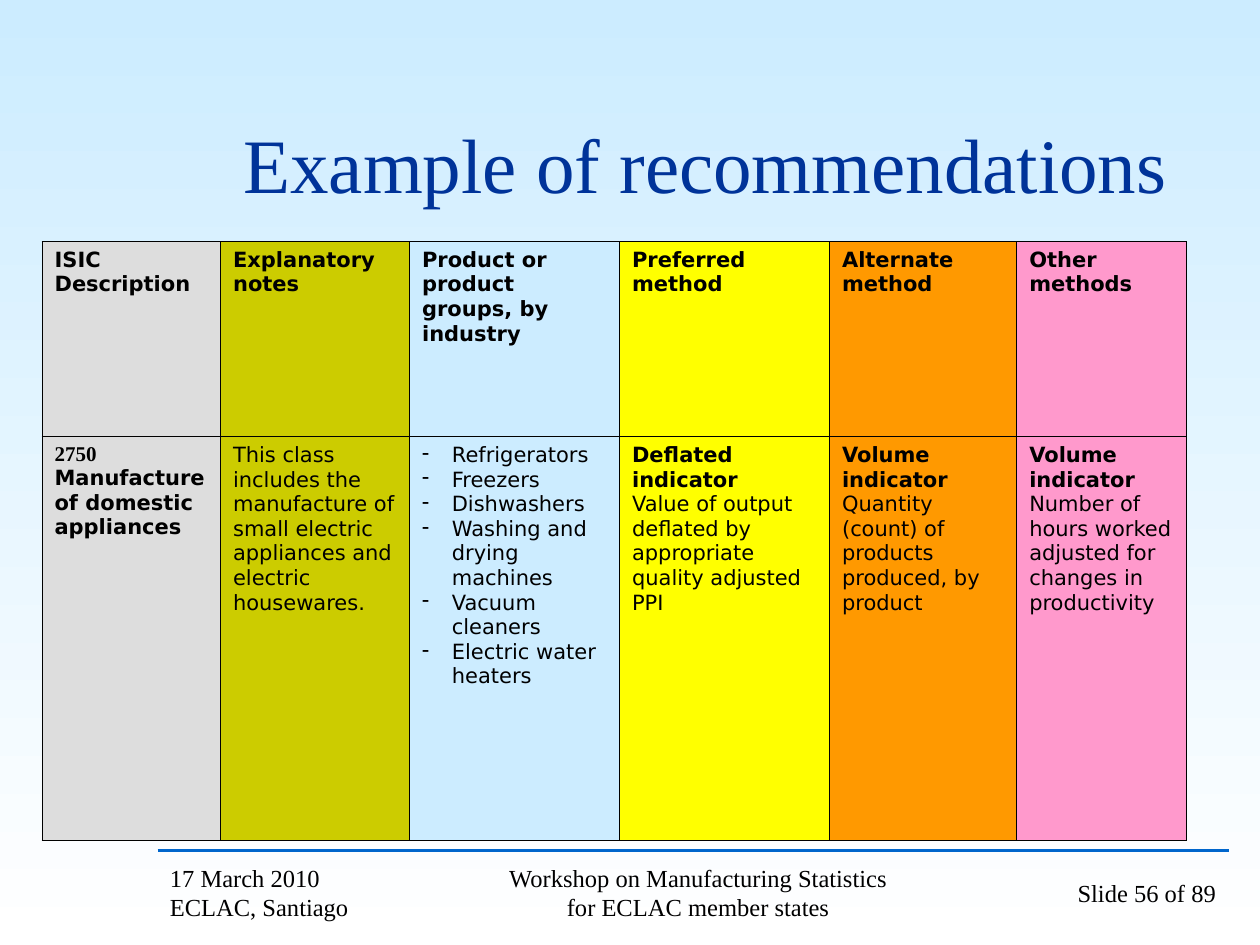
"""Build a slide with a table of recommended methods by industry."""
from lxml import etree
from pptx import Presentation
from pptx import util as u
from pptx.dml.color import RGBColor
from pptx.enum import shapes, text
from pptx.oxml import ns

SERIF, SANS = "Times New Roman", "DejaVu Sans"
WIDTHS = [102, 108, 120, 120, 107, 97]
HEIGHTS = [111.5, 230.5]
FILLS = ["DDDDDD", "CCCC00", "CCECFF", "FFFF00", "FF9900", "FF99CC"]
HEADS = [
    ["ISIC", "Description"],
    ["Explanatory notes"],
    ["Product or product groups, by industry"],
    ["Preferred method"],
    ["Alternate method"],
    ["Other methods"],
]
NOTES = "This class includes the manufacture of small electric appliances and electric housewares."
GOODS = ["Refrigerators", "Freezers", "Dishwashers", "Washing and drying machines",
         "Vacuum cleaners", "Electric water heaters"]
METHODS = [
    ("Deflated indicator", "Value of output deflated by appropriate quality adjusted PPI"),
    ("Volume indicator", "Quantity (count) of products produced, by product"),
    ("Volume indicator", "Number of hours worked adjusted for changes in productivity"),
]


def color(code):
    """Turn a hex string into a colour."""
    return RGBColor.from_string(code)


def node(parent, tag, **attrs):
    """Append a drawing element to a parent."""
    return etree.SubElement(parent, ns.qn("a:" + tag), attrs)


def style(para, size, face=SERIF, tint="000000", bold=False):
    """Set the font of a paragraph."""
    font = para.font
    font.size, font.name, font.bold = u.Pt(size), face, bold
    font.color.rgb = color(tint)


def label(slide, box, words, size, tint="000000", align=text.PP_ALIGN.LEFT):
    """Add a wrapped text box, centred vertically."""
    frame = slide.shapes.add_textbox(*map(u.Pt, box)).text_frame
    frame.word_wrap = True
    frame.vertical_anchor = text.MSO_ANCHOR.MIDDLE
    para = frame.paragraphs[0]
    para.text, para.alignment = words, align
    style(para, size, tint=tint)


def rule(slide, left, right, top):
    """Add the horizontal line above the footer."""
    line = slide.shapes.add_connector(
        shapes.MSO_CONNECTOR.STRAIGHT, *map(u.Pt, (left, top, right, top)))
    line.line.color.rgb = color("0066CC")
    line.line.width = u.Pt(1.5)
    node(line._element.spPr, "effectLst")


def bullet(para):
    """Give a paragraph a dash with a hanging indent."""
    props = para._p.get_or_add_pPr()
    props.set("marL", str(u.Pt(17)))
    props.set("indent", str(-u.Pt(17)))
    node(node(props, "buClr"), "srgbClr", val="000000")
    node(props, "buChar", char="-")


def paint(cell, fill):
    """Set the borders and the fill of a cell."""
    props = cell._tc.get_or_add_tcPr()
    for side in "LRTB":
        edge = node(props, "ln" + side, w=str(u.Pt(0.45)))
        node(node(edge, "solidFill"), "srgbClr", val="000000")
    cell.fill.solid()
    cell.fill.fore_color.rgb = color(fill)


def write(cell, items):
    """Fill a cell with (words, bold, face, dash) paragraphs."""
    frame = cell.text_frame
    for i, (words, bold, face, dash) in enumerate(items):
        para = frame.add_paragraph() if i else frame.paragraphs[0]
        para.text = words
        if dash:
            bullet(para)
        style(para, 12, face, bold=bold)


def grid(slide):
    """Add the table of methods."""
    heads = [[(words, True, SANS, False) for words in head] for head in HEADS]
    body = [
        [("2750", True, SERIF, False),
         ("Manufacture of domestic appliances", True, SANS, False)],
        [(NOTES, False, SANS, False)],
        [(good, False, SANS, True) for good in GOODS],
    ] + [[(name, True, SANS, False), (how, False, SANS, False)] for name, how in METHODS]
    box = (24, 138, sum(WIDTHS), sum(HEIGHTS))
    table = slide.shapes.add_table(len(HEIGHTS), len(WIDTHS), *map(u.Pt, box)).table
    table.first_row = table.horz_banding = False
    for col, width in zip(table.columns, WIDTHS):
        col.width = u.Pt(width)
    for row, height, content in zip(table.rows, HEIGHTS, (heads, body)):
        row.height = u.Pt(height)
        for cell, fill, items in zip(row.cells, FILLS, content):
            paint(cell, fill)
            write(cell, items)


def shade(slide):
    """Give the slide a vertical gradient."""
    fill = slide.background.fill
    fill.gradient()
    fill.gradient_angle = 270
    for stop, spot, code in zip(fill.gradient_stops, (0, 1), ("CCECFF", "FFFFFF")):
        stop.position = spot
        stop.color.rgb = color(code)


def main():
    """Build and save the slide."""
    deck = Presentation()
    deck.slide_width, deck.slide_height = u.Pt(720), u.Pt(540)
    slide = deck.slides.add_slide(deck.slide_layouts[6])
    shade(slide)
    rule(slide, 90, 702, 486)
    label(slide, (90, 492, 150, 36), "17 March 2010 ECLAC, Santiago", 14)
    label(slide, (552, 492, 150, 36), "Slide 56 of 89", 14, align=text.PP_ALIGN.RIGHT)
    label(slide, (276, 492, 246, 36),
          "Workshop on Manufacturing Statistics for ECLAC member states", 14,
          align=text.PP_ALIGN.CENTER)
    grid(slide)
    label(slide, (132, 48, 564, 90), "Example of recommendations", 44, "003399")
    deck.save("out.pptx")


if __name__ == "__main__":
    main()
